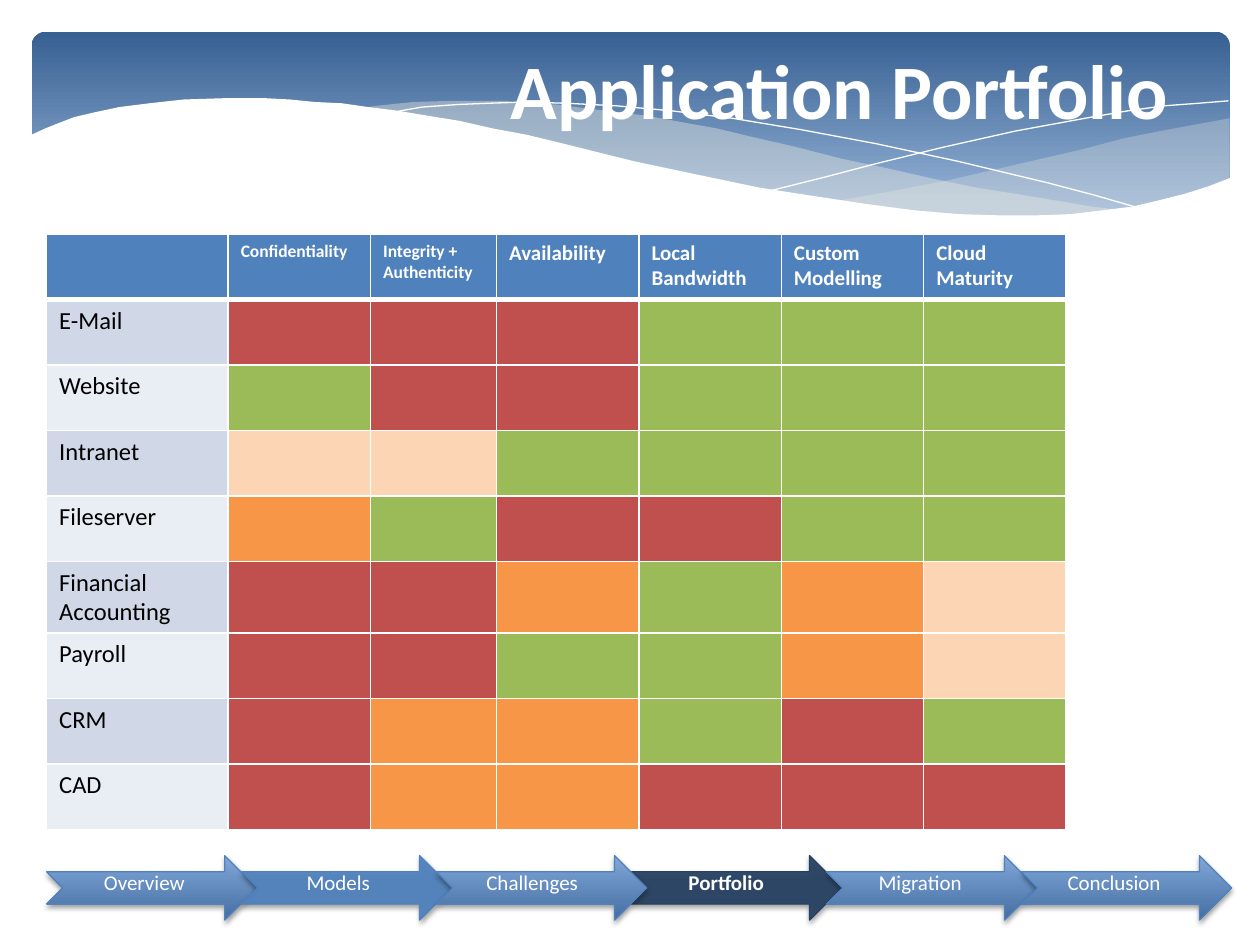
from lxml import etree
from pptx import Presentation
from pptx.dml.color import RGBColor
from pptx.enum.shapes import MSO_SHAPE
from pptx.enum.text import MSO_ANCHOR, PP_ALIGN
from pptx.oxml.ns import qn
from pptx.util import Cm, Pt

ROUND = MSO_SHAPE.ROUNDED_RECTANGLE
ARROW = MSO_SHAPE.NOTCHED_RIGHT_ARROW
MIDDLE = MSO_ANCHOR.MIDDLE
CENTER = PP_ALIGN.CENTER
LEFT = PP_ALIGN.LEFT

COLORS = {
    "white": "FFFFFF", "black": "000000", "blue": "4F81BD", "navy": "254061",
    "deep": "376092", "pale": "95B3D7", "light": "82A7D8", "dark": "446EA2",
    "sand": "EEECE1", "odd": "D0D8E8", "even": "E9EDF4",
    "R": "C0504D", "G": "9BBB59", "O": "F79646", "P": "FCD5B5",
}

RIGHT_WAVE = [
    (975, 94), (948, 99), (921, 104), (891, 110), (861, 118), (805, 131), (753, 143),
    (706, 152), (661, 160), (691, 164), (719, 167), (745, 169), (769, 171), (792, 172),
    (824, 172), (854, 170), (881, 167), (905, 163), (928, 158), (949, 152), (963, 147),
    (976, 141), (976, 94)]
MID_WAVE = [
    (893, 167), (866, 164), (837, 159), (807, 154), (775, 149), (741, 142), (706, 134),
    (668, 126), (629, 116), (598, 109), (569, 102), (541, 97), (514, 92), (489, 89),
    (465, 86), (442, 83), (420, 82), (399, 80), (361, 80), (328, 81), (299, 84),
    (286, 86), (323, 90), (362, 97), (404, 106), (449, 116), (491, 126), (530, 135),
    (566, 143), (601, 150), (634, 156), (665, 161), (695, 165), (722, 168), (748, 170),
    (773, 172), (796, 173), (828, 173), (857, 171), (876, 169)]
DOWN_LINE = [
    (309, 90), (318, 88), (335, 85), (363, 83), (387, 82), (416, 81), (450, 82),
    (489, 84), (533, 88), (582, 94), (636, 103), (695, 114), (760, 128), (831, 145),
    (869, 155), (907, 166)]
UP_LINE = [
    (613, 151), (653, 141), (695, 130), (748, 117), (806, 104), (866, 93), (895, 88),
    (924, 84), (951, 82), (975, 80)]
FRONT_WAVE = [
    (977, 141), (959, 148), (940, 154), (920, 159), (899, 164), (875, 167), (850, 170),
    (823, 171), (793, 171), (761, 170), (726, 167), (688, 162), (648, 156), (603, 149),
    (555, 139), (503, 128), (447, 114), (418, 107), (391, 102), (365, 96), (340, 92),
    (316, 88), (292, 85), (271, 82), (250, 81), (230, 79), (211, 78), (177, 78),
    (146, 79), (119, 82), (95, 85), (76, 89), (59, 93), (46, 98), (36, 102),
    (25, 107), (23, 107), (23, 224), (977, 224)]

HEADS = [
    ("", 12), ("Confidentiality", 10), ("Integrity +\nAuthenticity", 10),
    ("Availability", 12), ("Local Bandwidth", 12), ("Custom\nModelling", 12),
    ("Cloud\nMaturity", 12), ("", 12)]
APPS = [
    ("E-Mail", "RRRGGG"), ("Website", "GRRGGG"), ("Intranet", "PPGGGG"),
    ("Fileserver", "OGRRGG"), ("Financial Accounting", "RROGOP"),
    ("Payroll", "RRGGOP"), ("CRM", "ROOGRG"), ("CAD", "ROORRR")]
STEPS = ["Overview", "Models", "Challenges", "Portfolio", "Migration", "Conclusion"]


class Deck:
    """Holds the style and the current slide, and draws each kind of element."""

    font = "Calibri"

    def __init__(self):
        self.file = Presentation()
        self.file.slide_width, self.file.slide_height = Cm(25.4), Cm(19.05)
        self.slide = self.file.slides.add_slide(self.file.slide_layouts[6])
        self.shapes = self.slide.shapes

    def tint(self, name):
        return RGBColor.from_string(COLORS[name])

    def paint(self, fill, names, alpha=100):
        if not names:
            fill.background()
        elif len(names) == 1:
            fill.solid()
            fill.fore_color.rgb = self.tint(names[0])
        else:
            fill.gradient()
            fill.gradient_angle = 270
            for stop, name in zip(fill.gradient_stops, names):
                stop.color.rgb = self.tint(name)
        return alpha

    def fade(self, shape, alpha):
        color = shape._element.spPr.find(qn("a:solidFill"))[0]
        etree.SubElement(color, qn("a:alpha"), val=str(alpha * 1000))

    def shade(self, shape):
        cast = etree.SubElement(
            shape._element.spPr.find(qn("a:effectLst")), qn("a:outerShdw"),
            blurRad="40000", dist="20000", dir="5400000", rotWithShape="0")
        color = etree.SubElement(cast, qn("a:srgbClr"), val=COLORS["black"])
        etree.SubElement(color, qn("a:alpha"), val="38000")

    def shape(self, kind, box, fill, line=None):
        item = self.shapes.add_shape(kind, *map(Cm, box))
        item.shadow.inherit = False
        self.paint(item.fill, fill)
        if line:
            item.line.color.rgb = self.tint(line)
            item.line.width = Pt(0.75)
        else:
            item.line.fill.background()
        return item

    def wave(self, points, fill=None, alpha=None):
        pen = self.shapes.build_freeform(*points[0], scale=Cm(0.0254))
        pen.add_line_segments(points[1:], close=bool(fill))
        item = pen.convert_to_shape()
        item.shadow.inherit = False
        self.paint(item.fill, [fill] if fill else [])
        if fill:
            item.line.fill.background()
        else:
            item.line.color.rgb = self.tint("white")
            item.line.width = Pt(0)
        if alpha:
            self.fade(item, alpha)

    def run(self, para, text, size, color="white", bold=False):
        run = para.add_run()
        run.text = text
        run.font.name, run.font.size, run.font.bold = self.font, Pt(size), bold
        run.font.color.rgb = self.tint(color)

    def text(self, box, runs, size, align=LEFT, anchor=None):
        frame = self.shapes.add_textbox(*map(Cm, box)).text_frame
        frame.word_wrap = True
        frame.vertical_anchor = anchor
        para = frame.paragraphs[0]
        para.alignment = align
        for text, bold in runs:
            self.run(para, text, size, bold=bold)
        return para

    def tabs(self, para, stops):
        group = etree.SubElement(para._p.get_or_add_pPr(), qn("a:tabLst"))
        for stop in stops:
            etree.SubElement(group, qn("a:tab"), pos=str(Cm(stop)), algn="ctr")

    def cell(self, cell, text, size, color, fill, bold=False, base=1):
        props = cell._tc.get_or_add_tcPr()
        for side, width in (("L", 1), ("R", 1), ("T", 1), ("B", base)):
            edge = etree.SubElement(props, qn("a:ln" + side), w=str(Pt(width)))
            solid = etree.SubElement(edge, qn("a:solidFill"))
            etree.SubElement(solid, qn("a:srgbClr"), val=COLORS["white"])
        self.paint(cell.fill, [fill] if fill else [])
        for i, part in enumerate(text.split("\n") if text else []):
            frame = cell.text_frame
            para = frame.add_paragraph() if i else frame.paragraphs[0]
            self.run(para, part, size, color, bold)

    def table(self, box, heads, apps):
        grid = self.shapes.add_table(len(apps) + 1, len(heads), *map(Cm, box)).table
        grid.first_row = grid.horz_banding = False
        for i, col in enumerate(grid.columns):
            col.width = Cm({0: 3.66, 2: 2.54}.get(i, 2.87))
        for i, row in enumerate(grid.rows):
            row.height = Cm(1.4 if i == 5 else 1.32)
        last = len(heads) - 1
        for i, (text, size) in enumerate(heads):
            fill = "blue" if i < last else None
            self.cell(grid.cell(0, i), text, size, "white", fill, True, 3)
        for r, (name, marks) in enumerate(apps, 1):
            band = "odd" if r % 2 else "even"
            self.cell(grid.cell(r, 0), name, 14, "black", band)
            for c, mark in enumerate([*marks, None], 1):
                self.cell(grid.cell(r, c), "", 14, "black", mark)

    def arrow(self, i):
        looks = {1: (["blue"], "blue"), 3: (["navy"], "navy")}
        fill, line = looks.get(i, (["light", "dark"], "blue"))
        item = self.shape(ARROW, (0.94 + 3.93 * i, 17.25, 4.24, 1.3), fill, line)
        self.shade(item)
        if i in looks:
            self.fade(item, 93)


def main():
    deck = Deck()
    banner = deck.shape(ROUND, (0.64, 0.64, 24.15, 3.96), ["deep", "pale"])
    banner.adjustments[0] = 0.07
    banner.fill.gradient_stops[0].position = 0
    banner.fill.gradient_stops[1].position = 0.9
    deck.wave(RIGHT_WAVE, "sand", 29)
    deck.wave(MID_WAVE, "sand", 40)
    deck.wave(DOWN_LINE)
    deck.wave(UP_LINE)
    deck.wave(FRONT_WAVE, "white")
    deck.text((9.02, 0.69, 15.82, 2.21), [("Application Portfolio", True)], 44, CENTER, MIDDLE)
    deck.table((0.94, 4.72, 23.42, 11.94), HEADS, APPS)
    for i in (3, 4, 5, 0, 1, 2):
        deck.arrow(i)
    runs = [("\t" + step, step == "Portfolio") for step in STEPS]
    para = deck.text((0.79, 17.4, 23.98, 0.76), runs, 12)
    deck.tabs(para, [1.87 + 3.91 * i for i in range(len(STEPS))])
    deck.file.save("out.pptx")


if __name__ == "__main__":
    main()
